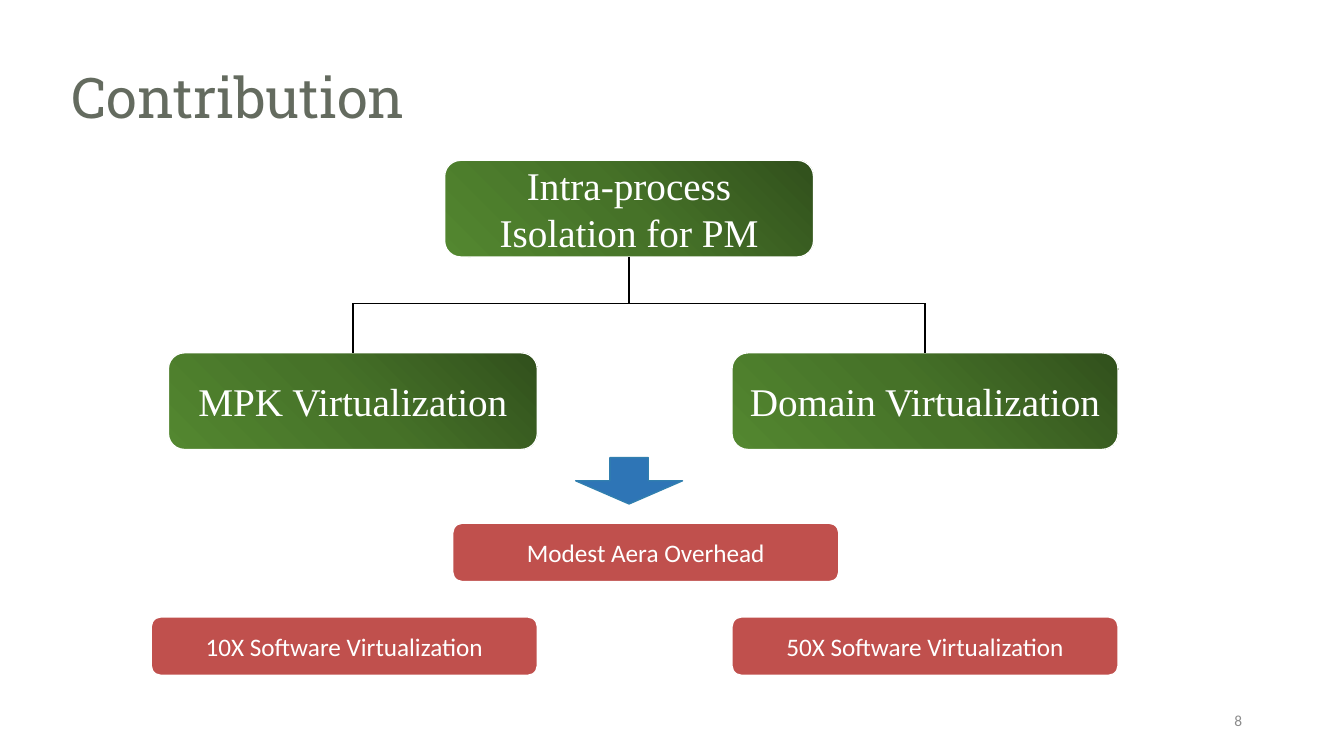
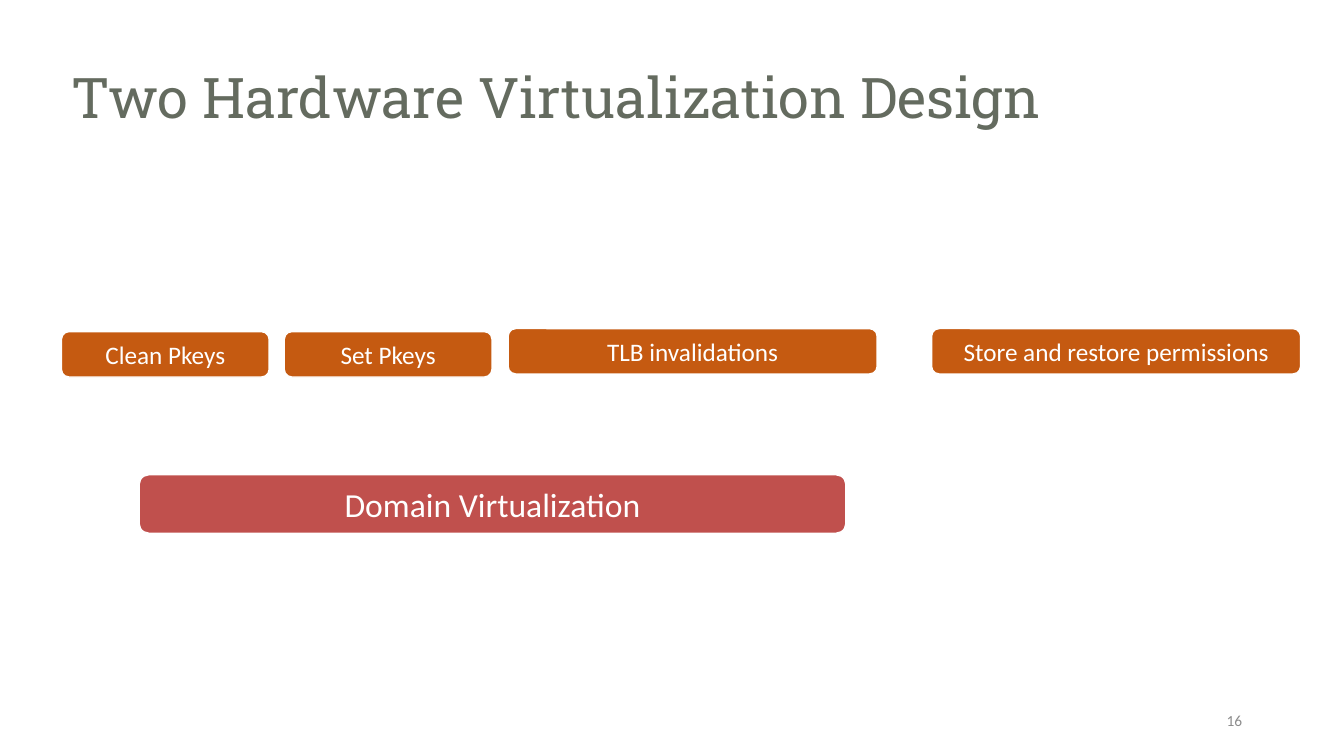
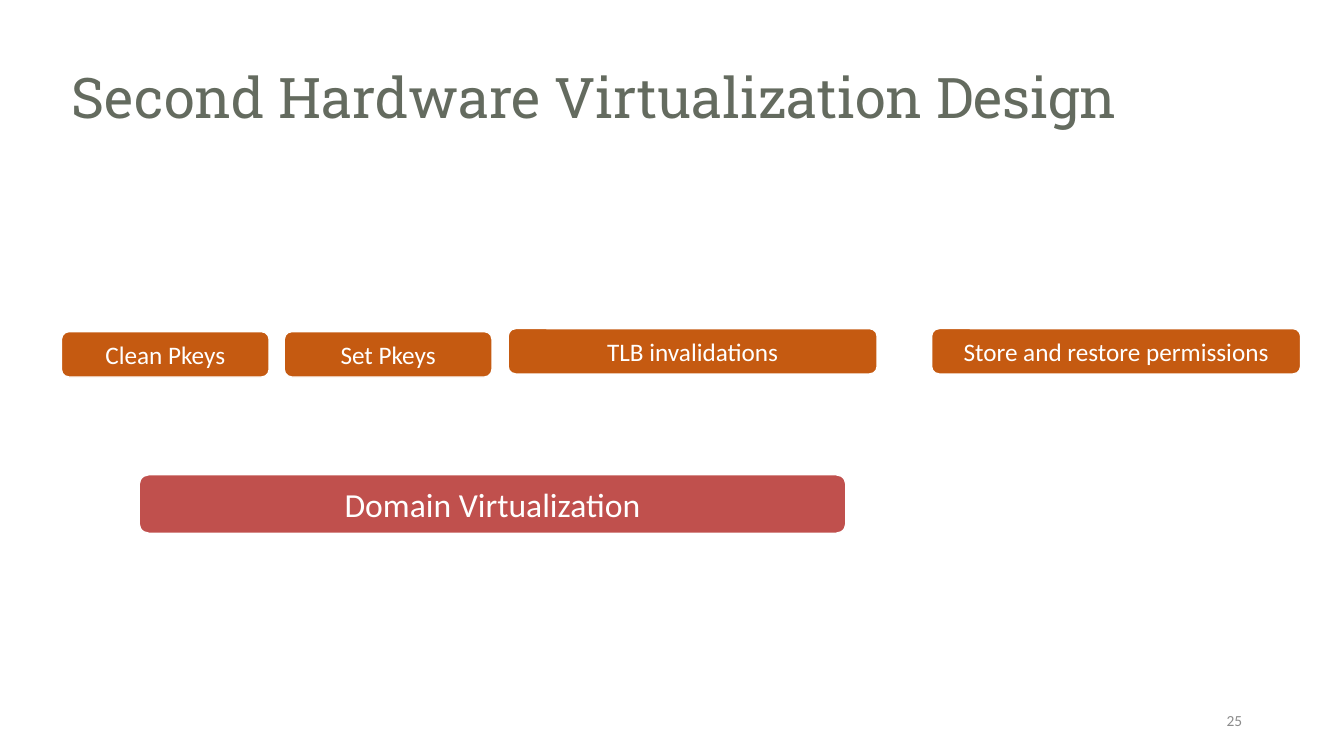
from lxml import etree
from pptx import Presentation
from pptx.dml.color import RGBColor
from pptx.enum.shapes import MSO_CONNECTOR, MSO_SHAPE
from pptx.enum.text import MSO_ANCHOR, MSO_AUTO_SIZE, PP_ALIGN
from pptx.oxml import parse_xml
from pptx.oxml.ns import qn
from pptx.util import Pt

PX = 9144  # 100 px to the inch
LEFT, CENTER, RIGHT = PP_ALIGN.LEFT, PP_ALIGN.CENTER, PP_ALIGN.RIGHT
ROUNDED, DOWN_ARROW = MSO_SHAPE.ROUNDED_RECTANGLE, MSO_SHAPE.DOWN_ARROW
TITLE_ONLY = 5

COLORS = {
    "title": "646B5F", "number": "8C8C8C", "white": "FFFFFF", "black": "000000",
    "red": "C0504D", "orange": "C55A11", "arrow": "2E75B6", "arrow_edge": "317FAF",
}
GREEN_STOPS = [(0, "31501C"), (50, "467228"), (100, "538730")]
TITLE_FONT, TREE_FONT, BODY_FONT = "Roboto Slab", "Times New Roman", "Calibri"

# Boxes: text, left, top, width
TREE_ROOT = ("Intra-process Isolation for PM", 441, 159, 366)
TREE_LEAVES = [
    ("MPK Virtualization", 167, 350, 366),
    ("Domain Virtualization", 726, 350, 383),
]
TREE_HEIGHT = 96
BRANCH_Y = 301
RESULTS = [
    ("Modest Aera Overhead", 449, 519, 383),
    ("10X Software Virtualization", 150, 612, 383),
    ("50X Software Virtualization", 726, 612, 383),
]
STEPS = [
    ("Clean Pkeys", 61, 329, 206),
    ("Set Pkeys", 282, 329, 206),
    ("TLB invalidations", 504, 326, 366),
    ("Store and restore permissions", 924, 326, 366),
]
DESIGN = ("Domain Virtualization", 138, 471, 701)
STEP_HEIGHT, BAR_HEIGHT = 45, 58


def emu(*lengths):
    return [round(n * PX) for n in lengths]


def rgb(name):
    return RGBColor.from_string(COLORS[name])


def put_text(sp, text, size=18, font=BODY_FONT, color="white", align=CENTER, spacing=None):
    tf = sp.text_frame
    tf.word_wrap = True
    tf.auto_size = MSO_AUTO_SIZE.NONE
    tf.vertical_anchor = MSO_ANCHOR.MIDDLE
    p = tf.paragraphs[0]
    p.alignment = align
    if spacing:
        p.line_spacing = spacing
    r = p.add_run()
    r.text = text
    r.font.size = Pt(size)
    r.font.name = font
    r.font.color.rgb = rgb(color)


def add_filled(s, kind, at, fill, edge="white"):
    sp = s.shapes.add_shape(kind, *emu(*at))
    sp.shadow.inherit = False
    sp.fill.solid()
    sp.fill.fore_color.rgb = rgb(fill)
    sp.line.color.rgb = rgb(edge)
    sp.line.width = Pt(1)
    return sp


def add_box(s, box, height, fill, **text_format):
    text, left, top, width = box
    sp = add_filled(s, ROUNDED, (left, top, width, height), fill)
    put_text(sp, text, **text_format)
    return sp


def add_tree_box(s, box):
    """Box with a gradient that spreads from its dark top right corner."""
    sp = add_box(s, box, TREE_HEIGHT, "black", size=28, font=TREE_FONT)
    stops = "".join(
        f'<a:gs pos="{pos * 1000}"><a:srgbClr val="{color}"/></a:gs>'
        for pos, color in GREEN_STOPS)
    gradient = parse_xml(
        '<a:gradFill xmlns:a="http://schemas.openxmlformats.org/drawingml/2006/main"'
        f' rotWithShape="1"><a:gsLst>{stops}</a:gsLst>'
        '<a:path path="circle"><a:fillToRect l="100000" b="100000"/></a:path></a:gradFill>')
    pr = sp._element.spPr
    pr.replace(pr.find(qn("a:solidFill")), gradient)


def add_line(s, x1, y1, x2, y2):
    line = s.shapes.add_connector(MSO_CONNECTOR.STRAIGHT, *emu(x1, y1, x2, y2))
    line.line.color.rgb = rgb("black")
    line.line.width = Pt(1)
    etree.SubElement(line._element.spPr, qn("a:effectLst"))


def add_slide(prs, title, number):
    s = prs.slides.add_slide(prs.slide_layouts[TITLE_ONLY])
    sp = s.shapes.title
    sp.left, sp.top, sp.width, sp.height = emu(61, 60, 1212, 80)
    put_text(sp, title, size=40, font=TITLE_FONT, color="title", align=LEFT, spacing=0.9)
    sp = s.shapes.add_textbox(*emu(942, 695, 300, 40))
    put_text(sp, str(number), size=11, color="number", align=RIGHT)
    return s


def build_contribution(prs):
    s = add_slide(prs, "Contribution", 8)
    for box in [TREE_ROOT, *TREE_LEAVES]:
        add_tree_box(s, box)

    _, left, top, width = TREE_ROOT
    root_x = left + width / 2
    leaf_xs = [x + w / 2 for _, x, _, w in TREE_LEAVES]
    add_line(s, root_x, top + TREE_HEIGHT, root_x, BRANCH_Y)
    add_line(s, leaf_xs[0], BRANCH_Y, leaf_xs[-1], BRANCH_Y)
    for x, (_, _, leaf_top, _) in zip(leaf_xs, TREE_LEAVES):
        add_line(s, x, BRANCH_Y, x, leaf_top)

    arrow = add_filled(s, DOWN_ARROW, (root_x - 53, 454, 106, 46), "arrow", "arrow_edge")
    arrow.adjustments[0] = 0.36
    arrow.adjustments[1] = 0.5
    for box in RESULTS:
        add_box(s, box, BAR_HEIGHT, "red")


def build_design(prs, title, number):
    s = add_slide(prs, title, number)
    for box in STEPS:
        add_box(s, box, STEP_HEIGHT, "orange")
    add_box(s, DESIGN, BAR_HEIGHT, "red", size=24)


def main():
    prs = Presentation()
    prs.slide_width, prs.slide_height = emu(1333, 750)
    build_contribution(prs)
    build_design(prs, "Two Hardware Virtualization Design", 16)
    build_design(prs, "Second Hardware Virtualization Design", 25)
    prs.save("out.pptx")


if __name__ == "__main__":
    main()
